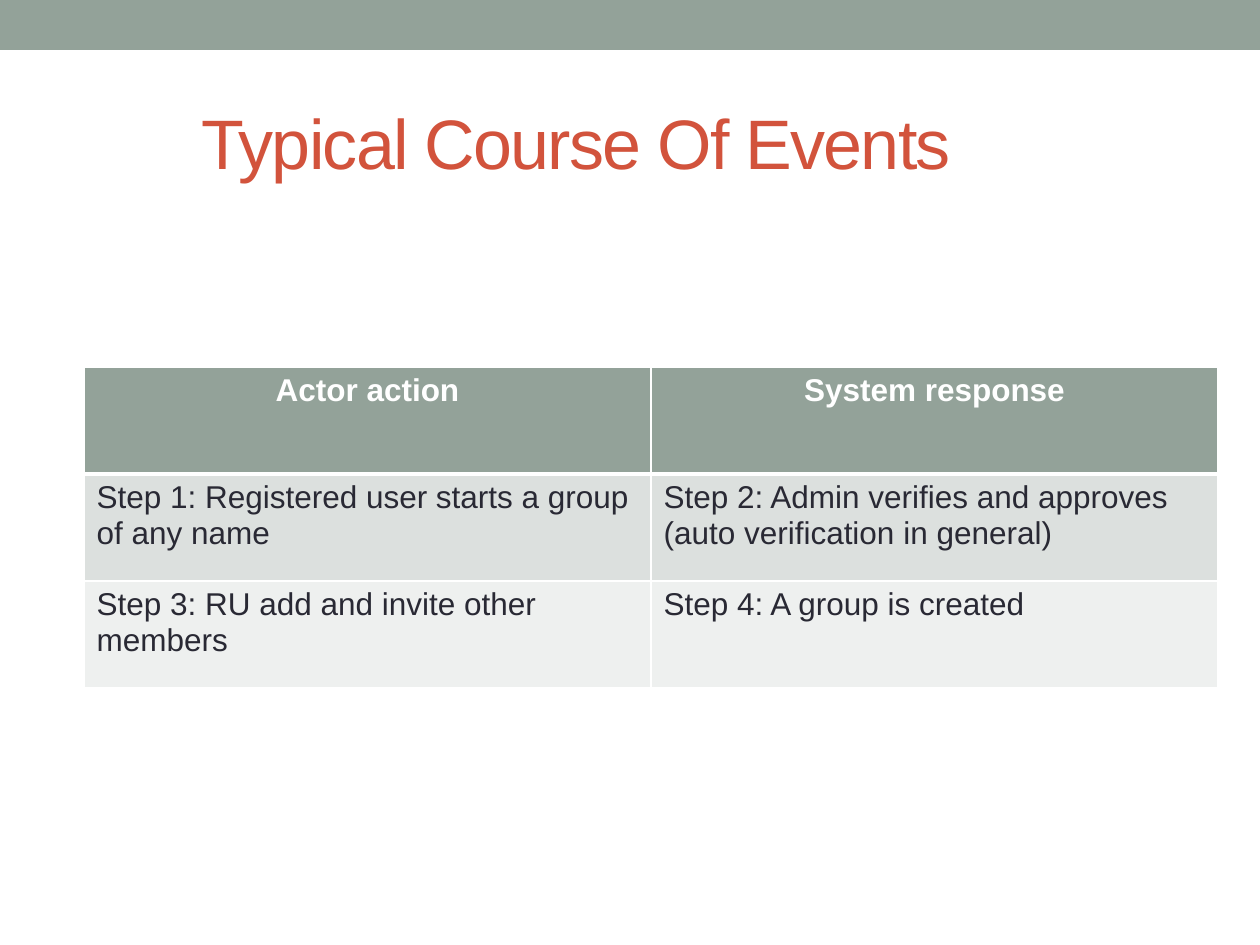
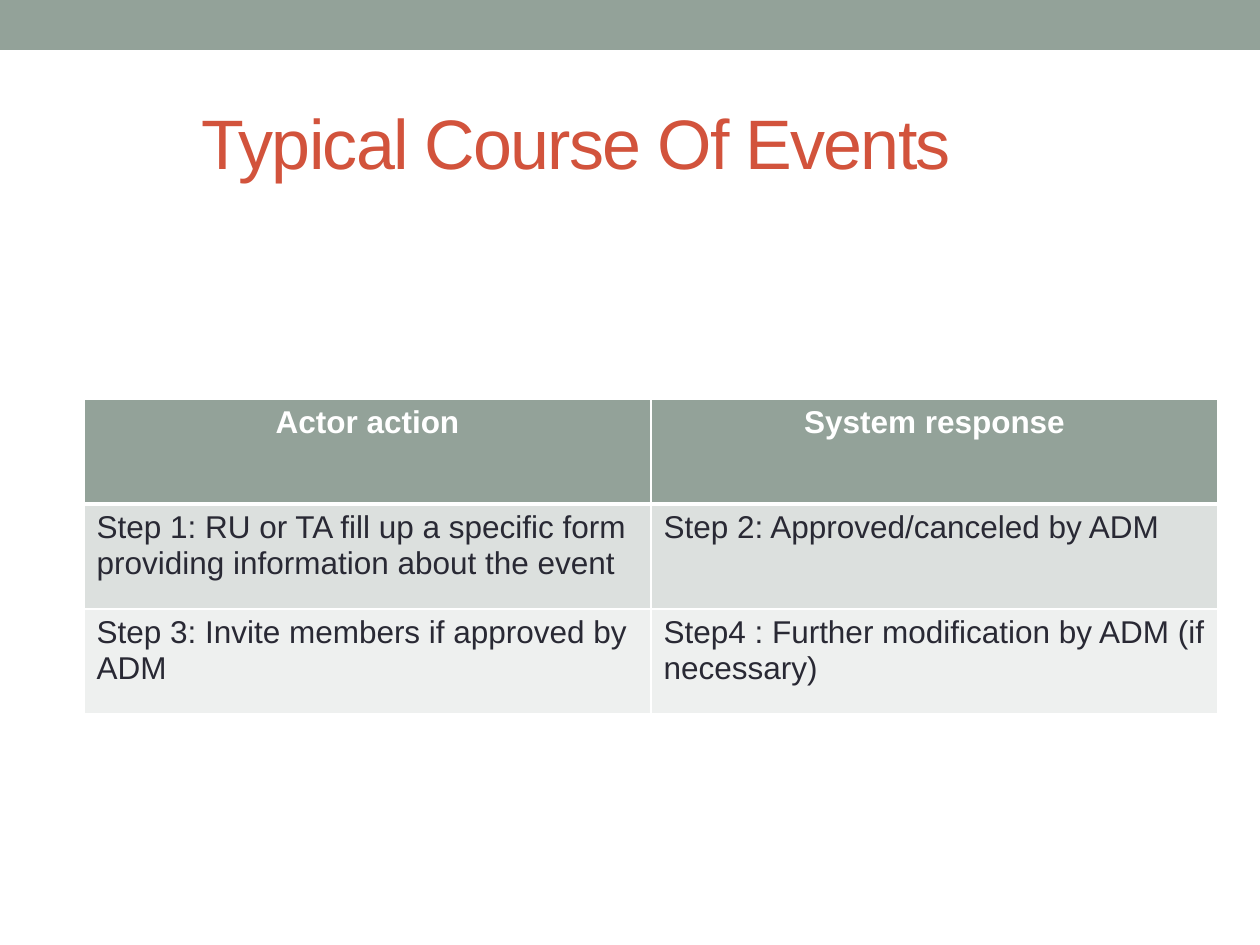
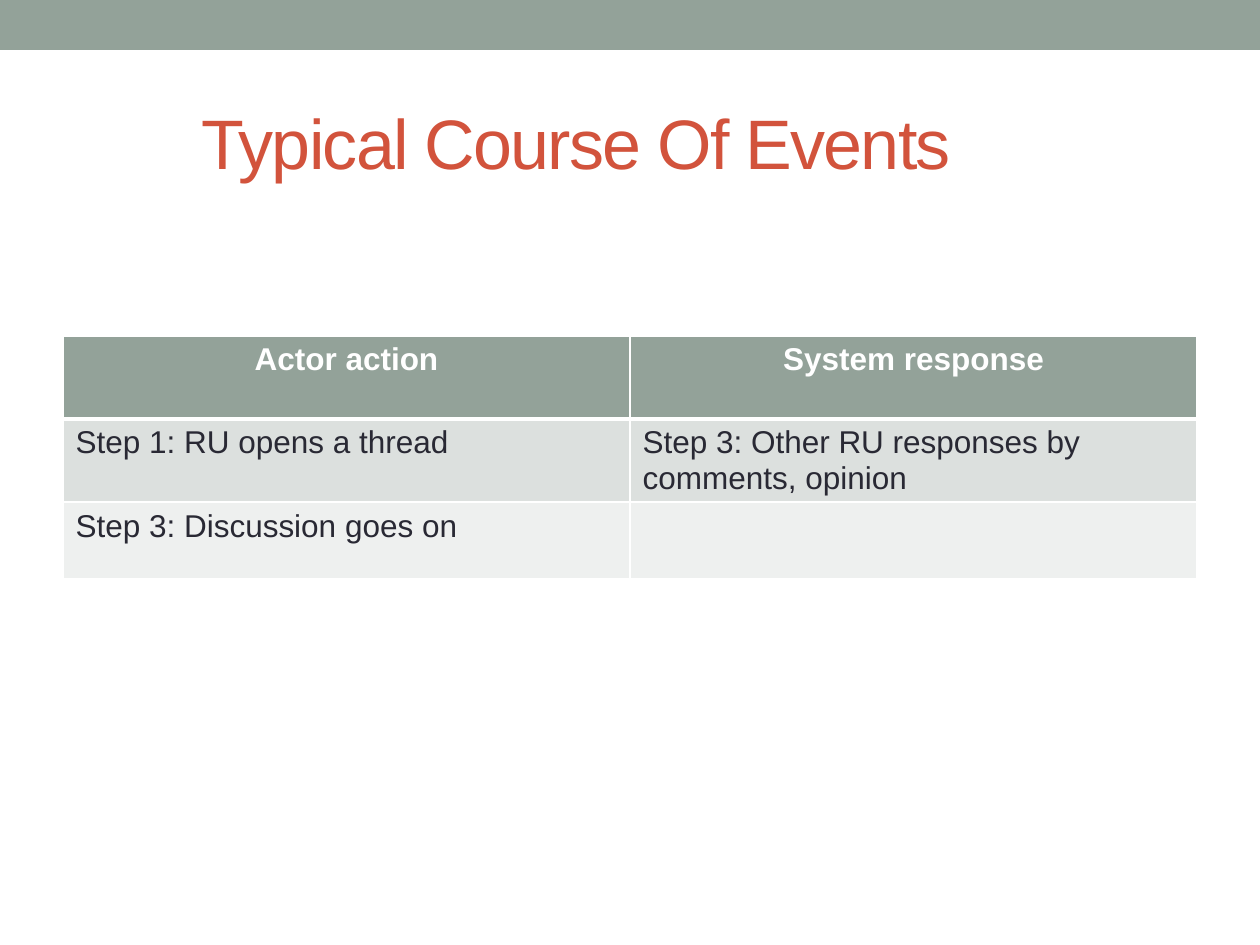
from dataclasses import dataclass

from lxml.etree import SubElement
from pptx import Presentation
from pptx.dml.color import RGBColor
from pptx.enum.shapes import MSO_SHAPE
from pptx.enum.text import MSO_ANCHOR, MSO_AUTO_SIZE, PP_ALIGN
from pptx.oxml.ns import qn
from pptx.util import Pt

EMU_PER_PX = 914400 / 126
PAGE_WIDTH, PAGE_HEIGHT = 1260, 945
BAND_HEIGHT = 50
TABLE_WIDTH = 1134
HEADINGS = ("Actor action", "System response")


@dataclass(frozen=True)
class Theme:
    font: str = "Arial"
    sage: str = "93A299"
    rust: str = "D2533C"
    ink: str = "292934"
    white: str = "FFFFFF"
    row_fills: tuple = ("93A299", "DCE0DE", "EEF0EF")
    title_size: int = 40
    table_size: int = 18
    thin_border: int = 1
    heading_border: int = 3


def px(length):
    return round(length * EMU_PER_PX)


def write(frame, text, *, font, size, color, bold=False, align=PP_ALIGN.LEFT,
          indent=0, spacing=0):
    para = frame.paragraphs[0]
    para.alignment = align
    if indent:
        properties = para._p.get_or_add_pPr()
        properties.set("marL", str(px(indent)))
        properties.set("indent", "0")
    span = para.add_run()
    span.text = text
    span.font.name = font
    span.font.size = Pt(size)
    span.font.bold = bold
    span.font.color.rgb = RGBColor.from_string(color)
    if spacing:
        span._r.get_or_add_rPr().set("spc", str(spacing * 100))


class Builder:
    def __init__(self, deck, theme):
        self.deck = deck
        self.theme = theme
        self.page = None

    def add_page(self, title):
        layout = self.deck.slide_layouts.get_by_name("Title Only")
        self.page = self.deck.slides.add_slide(layout)
        self.add_band()
        self.add_title(title)

    def add_band(self):
        band = self.page.shapes.add_shape(
            MSO_SHAPE.RECTANGLE, 0, 0, px(PAGE_WIDTH), px(BAND_HEIGHT))
        band.shadow.inherit = False
        band.fill.solid()
        band.fill.fore_color.rgb = RGBColor.from_string(self.theme.sage)
        band.line.fill.background()

    def add_title(self, text):
        theme = self.theme
        box = self.page.shapes.title
        box.left, box.top, box.width, box.height = map(px, (63, 73, 1134, 136))
        frame = box.text_frame
        frame.auto_size = MSO_AUTO_SIZE.NONE
        frame.word_wrap = True
        frame.vertical_anchor = MSO_ANCHOR.MIDDLE
        write(frame, text, font=theme.font, size=theme.title_size,
              color=theme.rust, indent=126, spacing=-1)

    def add_table(self, left, top, row_heights, steps):
        theme = self.theme
        rows = (HEADINGS, *steps)
        table = self.page.shapes.add_table(
            len(rows), len(HEADINGS), px(left), px(top),
            px(TABLE_WIDTH), px(sum(row_heights))).table
        for column in table.columns:
            column.width = px(TABLE_WIDTH / len(HEADINGS))
        for row_index, texts in enumerate(rows):
            table.rows[row_index].height = px(row_heights[row_index])
            heading = row_index == 0
            for column_index, text in enumerate(texts):
                cell = table.cell(row_index, column_index)
                cell.fill.solid()
                cell.fill.fore_color.rgb = RGBColor.from_string(
                    theme.row_fills[row_index])
                self.add_borders(cell, row_index)
                if text:
                    write(cell.text_frame, text, font=theme.font,
                          size=theme.table_size, bold=heading,
                          color=theme.white if heading else theme.ink,
                          align=PP_ALIGN.CENTER if heading else PP_ALIGN.LEFT)

    def add_borders(self, cell, row_index):
        theme = self.theme
        properties = cell._tc.get_or_add_tcPr()
        heavy_side = {0: "lnB", 1: "lnT"}.get(row_index)
        for position, side in enumerate(("lnL", "lnR", "lnT", "lnB")):
            width = theme.heading_border if side == heavy_side else theme.thin_border
            line = SubElement(properties, qn(f"a:{side}"), w=str(Pt(width)))
            fill = SubElement(line, qn("a:solidFill"))
            SubElement(fill, qn("a:srgbClr"), val=theme.white)
            properties.insert(position, line)


EVENT_TABLES = (
    (84, 367, (107, 107, 107), (
        ("Step 1: Registered user starts a group of any name",
         "Step 2: Admin verifies and approves (auto verification in general)"),
        ("Step 3: RU add and invite other members",
         "Step 4: A group is created"),
    )),
    (84, 399, (105, 105, 105), (
        ("Step 1: RU or TA fill up a specific form providing information about the event",
         "Step 2: Approved/canceled by ADM"),
        ("Step 3: Invite members if approved by ADM",
         "Step4 : Further modification by ADM (if necessary)"),
    )),
    (63, 336, (83, 83, 77), (
        ("Step 1: RU opens a thread",
         "Step 3: Other RU responses by comments, opinion"),
        ("Step 3: Discussion goes on", ""),
    )),
)


def main():
    deck = Presentation()
    deck.slide_width, deck.slide_height = px(PAGE_WIDTH), px(PAGE_HEIGHT)
    builder = Builder(deck, Theme())
    for event_table in EVENT_TABLES:
        builder.add_page("Typical Course Of Events")
        builder.add_table(*event_table)
    deck.save("out.pptx")


if __name__ == "__main__":
    main()
